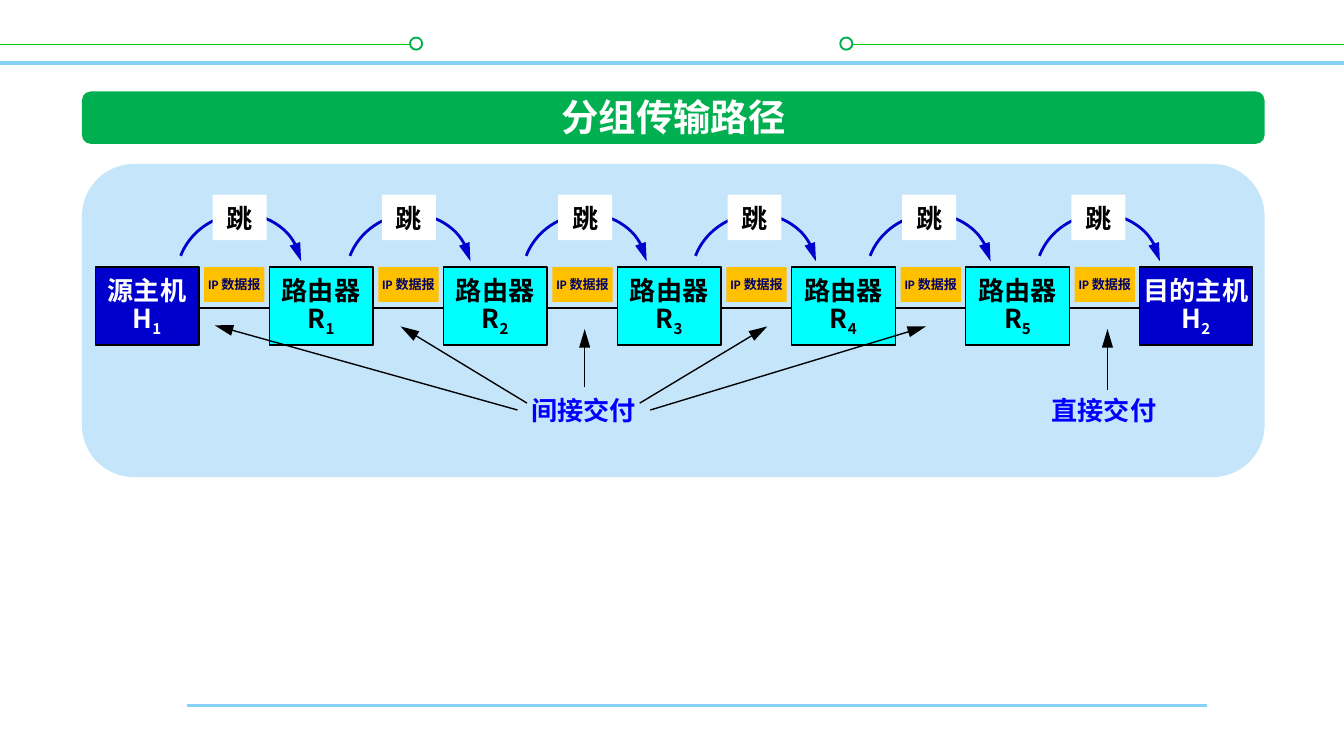
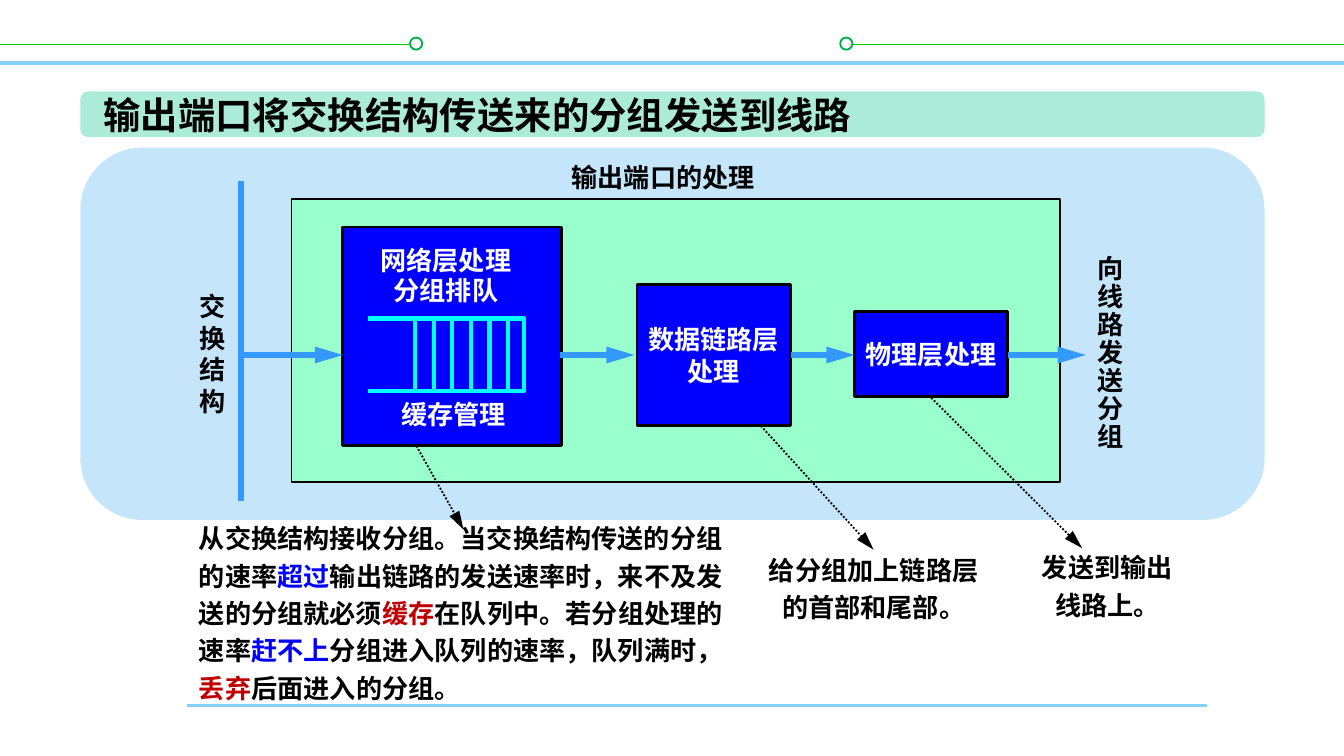
from lxml import etree
from pptx import Presentation
from pptx.dml.color import RGBColor
from pptx.enum.dml import MSO_LINE
from pptx.enum.shapes import MSO_CONNECTOR, MSO_SHAPE
from pptx.enum.text import MSO_ANCHOR, MSO_AUTO_SIZE, PP_ALIGN
from pptx.oxml.ns import qn
from pptx.util import Cm, Pt

RECT, ROUND = MSO_SHAPE.RECTANGLE, MSO_SHAPE.ROUNDED_RECTANGLE
OVAL, ARC = MSO_SHAPE.OVAL, MSO_SHAPE.ARC
STRAIGHT = MSO_CONNECTOR.STRAIGHT
DOTTED = MSO_LINE.ROUND_DOT
LEFT, CENTER = PP_ALIGN.LEFT, PP_ALIGN.CENTER
MIDDLE = MSO_ANCHOR.MIDDLE
NO_FIT = MSO_AUTO_SIZE.NONE

FONT, LATIN = "Noto Sans CJK SC", "Calibri"
COLORS = {
    "black": "000000", "white": "FFFFFF", "sky": "85D1F7", "lime": "00CC00",
    "green": "00B050", "panel": "C5E5FB", "mint": "ABEBD7", "region": "99FFCC",
    "navy": "0000CC", "blue": "0000FF", "ink": "000066", "cyan": "00FFFF",
    "amber": "FFC000", "flow": "3399FF", "red": "C00000",
}


def rgb(name):
    return RGBColor.from_string(COLORS[name])


def write(tf, paras, size=14, color="black", font=FONT, align=CENTER,
          spacing=None, wrap=False):
    """Fill tf with paragraphs; each is a string or a list of (text, color, baseline) runs."""
    tf.auto_size = NO_FIT
    tf.word_wrap = wrap
    tf.vertical_anchor = MIDDLE
    for i, para in enumerate(paras):
        p = tf.paragraphs[0] if i == 0 else tf.add_paragraph()
        p.alignment = align
        p.line_spacing = Pt(spacing or round(size * 1.2))
        p.space_before = Pt(0)
        for text, tint, baseline in [(para, None, 0)] if isinstance(para, str) else para:
            r = p.add_run()
            r.text = text
            r.font.size, r.font.bold, r.font.name = Pt(size), True, font
            r.font.color.rgb = rgb(tint or color)
            rPr = r._r.get_or_add_rPr()
            etree.SubElement(rPr, qn("a:ea"), typeface=FONT)
            if baseline:
                rPr.set("baseline", str(baseline))


class Deck:
    """Holds the style and the current slide; all lengths are centimetres."""

    def __init__(self):
        self.prs = Presentation()
        self.prs.slide_width, self.prs.slide_height = Cm(25.4), Cm(14.29)
        self.layout = self.prs.slide_layouts[5]
        for ph in list(self.layout.placeholders)[1:]:
            ph.element.getparent().remove(ph.element)
        self.slide = None

    def style_line(self, line, color, width, arrow=False, dash=None):
        line.color.rgb = rgb(color)
        line.width = Pt(width)
        if dash:
            line.dash_style = dash
        if arrow:
            etree.SubElement(line._get_or_add_ln(), qn("a:tailEnd"),
                             type="triangle", w="med", len="lg")

    def shape(self, kind, x, y, w, h, fill=None, line=None, width=0.75,
              arrow=False, paras=(), **fmt):
        sp = self.slide.shapes.add_shape(kind, Cm(x), Cm(y), Cm(w), Cm(h))
        sp.shadow.inherit = False
        if fill:
            sp.fill.solid()
            sp.fill.fore_color.rgb = rgb(fill)
        else:
            sp.fill.background()
        if line:
            self.style_line(sp.line, line, width, arrow)
        else:
            sp.line.fill.background()
        if paras:
            write(sp.text_frame, paras, **fmt)
        return sp

    def line(self, x1, y1, x2, y2, color="black", width=0.75, **style):
        cx = self.slide.shapes.add_connector(STRAIGHT, Cm(x1), Cm(y1), Cm(x2), Cm(y2))
        self.style_line(cx.line, color, width, **style)
        etree.SubElement(cx.element.spPr, qn("a:effectLst"))
        return cx

    def text(self, x, y, w, h, paras, **fmt):
        tb = self.slide.shapes.add_textbox(Cm(x), Cm(y), Cm(w), Cm(h))
        write(tb.text_frame, paras, **fmt)

    def outline(self, points, color, width):
        (x, y), *rest = [(Cm(a), Cm(b)) for a, b in points]
        fb = self.slide.shapes.build_freeform(x, y)
        fb.add_line_segments(rest, close=False)
        sp = fb.convert_to_shape()
        sp.shadow.inherit = False
        sp.fill.background()
        self.style_line(sp.line, color, width)

    def decorate_layout(self):
        """Draw the shared rules and rings, then move them to the layout."""
        marks = [
            self.line(3.53, 13.34, 22.81, 13.34, "sky", 1.5),
            self.line(0, 1.19, 25.4, 1.19, "sky", 2),
        ]
        for x1, x2, ring_x in ((0, 7.87, 7.75), (15.88, 25.4, 15.88)):
            marks.append(self.line(x1, 0.84, x2, 0.84, "lime", 1))
            marks.append(self.shape(OVAL, ring_x, 0.71, 0.23, 0.23, "white", "green", 1))
        for mark in marks:
            self.layout.shapes.element.append(mark.element)

    def new_slide(self, title, title_box, panel_box, bar_box, bar_fill, **fmt):
        first = self.slide is None
        self.slide = self.prs.slides.add_slide(self.layout)
        if first:
            self.decorate_layout()
        self.shape(ROUND, *panel_box, "panel")
        self.shape(ROUND, *bar_box, bar_fill)
        ph = self.slide.shapes.title
        ph.left, ph.top, ph.width, ph.height = map(Cm, title_box)
        write(ph.text_frame, [title], size=20, **fmt)
        self.slide.shapes.element.append(ph.element)


def build_path_slide(deck):
    deck.new_slide("分组传输路径", (10.34, 1.65, 4.78, 1.12), (1.55, 3.1, 22.35, 5.92),
                   (1.55, 1.73, 22.35, 0.99), "green", color="white")
    deck.line(3.23, 5.82, 22.25, 5.82, width=1.5)

    pitch, row_y = 3.29, 5.05
    nodes = [("源主机", "H", 1)] + [("路由器", "R", n) for n in range(1, 6)]
    nodes.append(("目的主机", "H", 2))
    for i, (name, letter, number) in enumerate(nodes):
        host = letter == "H"
        deck.shape(RECT, 1.8 + i * pitch, row_y, 2.13 if name == "目的主机" else 1.96, 1.47,
                   "navy" if host else "cyan", "black",
                   paras=[name, [(letter, None, 0), (str(number), None, -25000)]],
                   color="white" if host else "black")

    for i, hop_x in enumerate((3.33, 6.53, 9.86, 13.06, 16.36, 19.56)):
        arc = deck.shape(ARC, hop_x, 4.06, 2.39, 2.24, line="navy", width=1.5, arrow=True)
        arc.adjustments[0], arc.adjustments[1] = 132.39, 7.13
        arc.rotation = 336.5
        deck.shape(RECT, hop_x + 0.69, 3.68, 1.02, 0.86, "white", paras=["跳"])
        deck.shape(RECT, 3.86 + i * pitch, row_y, 1.14, 0.66, "amber",
                   paras=["IP 数据报"], size=7, color="ink", font=LATIN)

    for x, label in ((9.78, "间接交付"), (19.61, "直接交付")):
        deck.text(x, 7.32, 2.51, 0.86, [label], color="blue")
    for ends in ((20.93, 7.37, 20.93, 6.22), (11.05, 7.32, 11.05, 6.22),
                 (12.09, 7.62, 14.5, 6.17), (12.29, 7.75, 17.5, 6.17),
                 (9.78, 7.75, 4.06, 6.15), (9.96, 7.62, 7.57, 6.17)):
        deck.line(*ends, arrow=True)


def build_output_port_slide(deck):
    deck.new_slide("输出端口将交换结构传送来的分组发送到线路", (1.7, 1.6, 14.99, 1.12),
                   (1.52, 2.79, 22.38, 7.04), (1.52, 1.73, 22.38, 0.86), "mint", align=LEFT)
    deck.shape(RECT, 5.51, 3.76, 14.53, 5.36, "region", "black", 1)
    for box, paras in (((16.15, 5.89, 2.9, 1.6), ["物理层处理"]),
                       ((12.04, 5.38, 2.9, 2.67), ["数据链路层", "处理"]),
                       ((6.48, 4.29, 4.14, 4.14), [])):
        deck.shape(RECT, *box, "blue", "black", 1.5, paras=paras, color="white")

    for x1, x2 in ((19.05, 20.52), (14.94, 16.15), (10.59, 11.99), (4.55, 6.48)):
        deck.line(x1, 6.71, x2, 6.71, "flow", 3, arrow=True)
    deck.line(4.55, 3.43, 4.55, 9.47, "flow", 3)

    top, bottom = 6.02, 7.39
    deck.outline([(6.96, top), (9.91, top), (9.91, bottom), (6.96, bottom)], "cyan", 2.25)
    for i in range(6):
        x = 7.85 + 0.35 * i
        deck.line(x, top, x, bottom, "cyan", 2.25)

    deck.text(6.93, 4.52, 3, 1.4, ["网络层处理", "分组排队"], color="white", spacing=16)
    deck.text(7.32, 7.39, 2.51, 0.86, ["缓存管理"], color="white")
    deck.text(10.39, 2.92, 4.29, 0.86, ["输出端口的处理"])
    deck.text(20.47, 4.67, 1.02, 4.04, list("向线路发送分组"), spacing=15)
    deck.text(3.51, 5.36, 1.02, 2.64, list("交换结构"))

    queue_note = [
        ("从交换结构接收分组。当交换结构传送的分组的速率", None, 0), ("超过", "blue", 0),
        ("输出链路的发送速率时，来不及发送的分组就必须", None, 0), ("缓存", "red", 0),
        ("在队列中。若分组处理的速率", None, 0), ("赶不上", "blue", 0),
        ("分组进入队列的速率，队列满时，", None, 0), ("丢弃", "red", 0),
        ("后面进入的分组。", None, 0),
    ]
    for box, note, align, pointer in (
            ((19.23, 10.34, 3.4, 1.37), "发送到输出线路上。", CENTER, (17.6, 7.52, 20.45, 10.36)),
            ((14.05, 10.39, 4.93, 1.37), "给分组加上链路层的首部和尾部。", CENTER,
             (14.38, 8.05, 16.51, 10.39)),
            ((3.51, 10.01, 10.52, 3.05), queue_note, LEFT, (7.87, 8.43, 8.76, 10.01))):
        deck.text(*box, [note], align=align, spacing=20, wrap=True)
        deck.line(*pointer, width=1, arrow=True, dash=DOTTED)


def main():
    deck = Deck()
    build_path_slide(deck)
    build_output_port_slide(deck)
    deck.prs.save("out.pptx")


if __name__ == "__main__":
    main()
